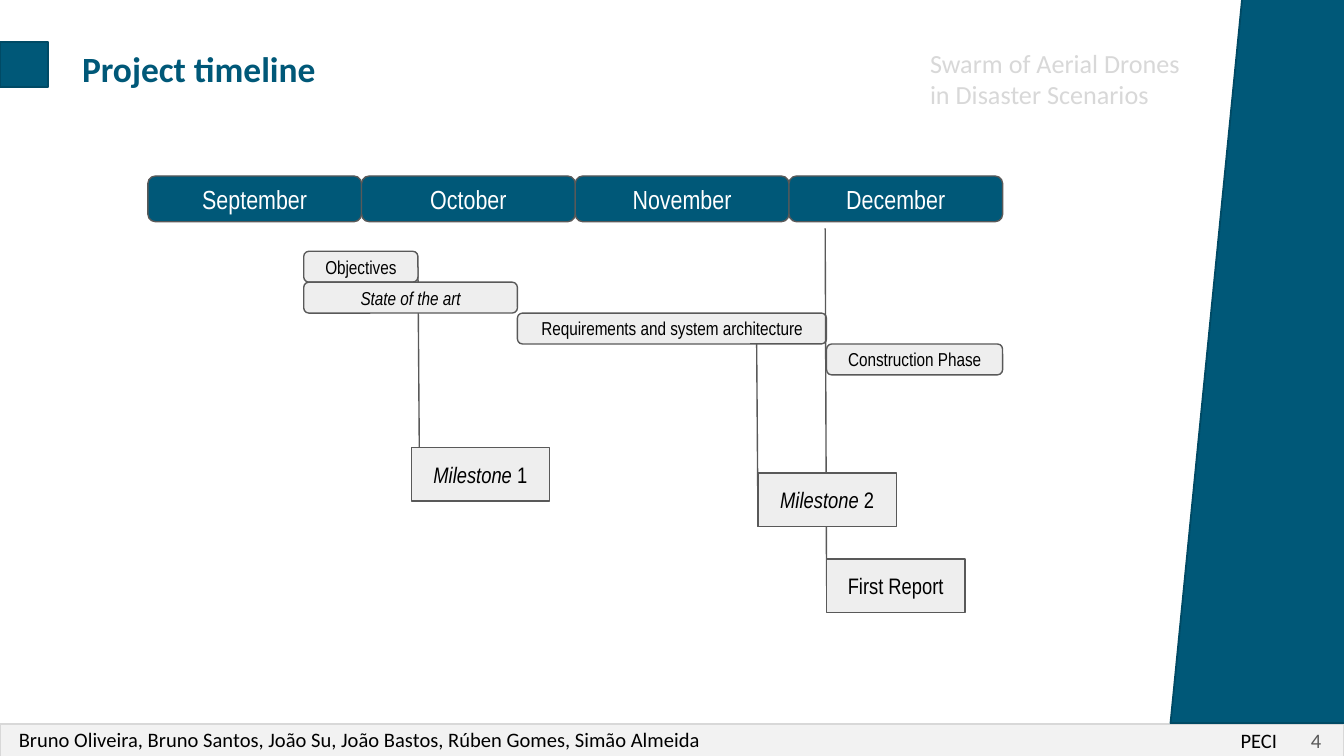
from lxml import etree
from pptx import Presentation
from pptx import util as u
from pptx.dml.color import RGBColor
from pptx.enum import shapes, text
from pptx.oxml.ns import qn

TEAL, TEAL_EDGE = "005878", "004A65"
GREY, PALE, BLACK, WHITE = "595959", "EEEEEE", "000000", "FFFFFF"
SILVER, FOOTER_FILL = "D8D8D8", "F2F2F2"
ROUNDED = shapes.MSO_SHAPE.FLOWCHART_ALTERNATE_PROCESS
RECTANGLE = shapes.MSO_SHAPE.RECTANGLE
CENTER = text.PP_ALIGN.CENTER
MIDDLE = text.MSO_ANCHOR.MIDDLE

MONTHS = ["September", "October", "November", "December"]
TASKS = [
    ("Objectives", 1.16, 0.85, False),
    ("State of the art", 1.16, 1.59, True),
    ("Requirements and system architecture", 2.75, 2.3, False),
    ("Construction Phase", 5.05, 1.31, False),
]


def color(value):
    return RGBColor.from_string(value)


def place(box, left, top, width, height):
    return [u.Inches(n) for n in (box[0] + left, box[1] + top, width, height)]


def set_margins(frame, side, end):
    frame.margin_left = frame.margin_right = u.Inches(side)
    frame.margin_top = frame.margin_bottom = u.Inches(end)


def add_spans(para, spans, font, size, hue, bold=False):
    for words, italic in spans:
        span = para.add_run()
        span.text = words
        span.font.name = font
        span.font.size = u.Pt(size)
        span.font.bold = bold
        span.font.italic = italic
        span.font.color.rgb = color(hue)


def add_block(page, kind, bounds, fill, edge, weight):
    block = page.shapes.add_shape(kind, *bounds)
    block.shadow.inherit = False
    block.fill.solid()
    block.fill.fore_color.rgb = color(fill)
    block.line.color.rgb = color(edge)
    block.line.width = u.Pt(weight)
    return block


def add_label_block(page, kind, bounds, fill, spans, size, hue=BLACK):
    block = add_block(page, kind, bounds, fill, GREY, 0.75)
    frame = block.text_frame
    set_margins(frame, 0.1, 0.1)
    frame.word_wrap = True
    frame.vertical_anchor = MIDDLE
    para = frame.paragraphs[0]
    para.alignment = CENTER
    add_spans(para, spans, "Arial Narrow", size, hue)
    return block


def add_caption(page, bounds, words, size, hue, bold=False):
    frame = page.shapes.add_textbox(*bounds).text_frame
    set_margins(frame, 0.07, 0.04)
    frame.word_wrap = True
    add_spans(frame.paragraphs[0], [(words, False)], "Calibri", size, hue, bold)
    return frame


def add_marker(page, box, start, end):
    left, top = box[:2]
    points = (left + start[0], top + start[1], left + end[0], top + end[1])
    marker = page.shapes.add_connector(
        shapes.MSO_CONNECTOR.STRAIGHT, *[u.Inches(n) for n in points])
    marker.line.color.rgb = color(GREY)
    marker.line.width = u.Pt(0.75)
    etree.SubElement(marker._element.spPr, qn("a:effectLst"))
    return marker


def build_header(page, box):
    add_block(page, RECTANGLE, place(box, 0, 0, 0.36, 0.34), TEAL, TEAL_EDGE, 1)
    add_caption(page, place(box, 0.54, 0, 2.15, 0.4), "Project timeline", 19, TEAL, True)
    add_caption(page, place(box, 6.85, 0, 2.16, 0.78),
                "Swarm of Aerial Drones in Disaster Scenarios", 14, SILVER)


def build_footer(page, box):
    add_block(page, RECTANGLE, place(box, 0, 0, box[2], box[3]), FOOTER_FILL, SILVER, 1)
    add_caption(page, place(box, 0.07, -0.02, 5.43, 0.26),
                "Bruno Oliveira, Bruno Santos, João Su, João Bastos, Rúben Gomes, Simão Almeida",
                11, BLACK)
    add_caption(page, place(box, 9.16, -0.01, 0.52, 0.26), "PECI", 11, BLACK)
    number = add_caption(page, place(box, 9.58, 0.02, 0.32, 0.23), "4", 11, GREY)
    number.vertical_anchor = MIDDLE
    number.paragraphs[0].alignment = text.PP_ALIGN.RIGHT
    number.paragraphs[0].line_spacing = 0.8


def build_side_panel(page, box):
    panel = add_block(page, shapes.MSO_SHAPE.PARALLELOGRAM, place(box, 0, 0, box[2], box[3]),
                      TEAL, TEAL_EDGE, 1)
    panel.adjustments[0] = 0.25


def build_timeline(page, box):
    first_marker = add_marker(page, box, (2.01, 0.67), (2.02, 2.03))

    month_width = box[2] / len(MONTHS)
    for index, month in enumerate(MONTHS):
        add_label_block(page, ROUNDED, place(box, index * month_width, 0, month_width, 0.34),
                        TEAL, [(month, False)], 14, WHITE)

    row = 0.23
    tasks = [
        add_label_block(page, ROUNDED, place(box, left, 0.56 + index * row, width, row),
                        PALE, [(name, italic)], 10)
        for index, (name, left, width, italic) in enumerate(TASKS)
    ]
    first_marker.begin_connect(tasks[0], 3)

    def add_milestone(left, top, spans):
        return add_label_block(page, RECTANGLE, place(box, left, top, 1.03, 0.4),
                               PALE, spans, 12)

    report_marker = add_marker(page, box, (5.04, 0.39), (5.05, 3.05))
    report = add_milestone(5.05, 2.85, [("First Report", False)])
    report_marker.end_connect(report, 1)
    add_milestone(1.96, 2.02, [("Milestone", True), (" 1", False)])
    add_marker(page, box, (4.53, 1.25), (4.54, 2.61))
    add_milestone(4.54, 2.21, [("Milestone", True), (" 2", False)])


def main():
    deck = Presentation()
    deck.slide_width = u.Inches(10)
    deck.slide_height = deck.slide_width * 9 // 16
    page = deck.slides.add_slide(deck.slide_layouts[6])
    build_footer(page, (0, 5.39, 10, 0.26))
    build_side_panel(page, (8.71, -0.08, 2.16, 5.46))
    build_timeline(page, (1.1, 1.31, 6.36, 3.25))
    build_header(page, (0, 0.31, 9.01, 0.78))
    deck.save("out.pptx")


if __name__ == "__main__":
    main()
